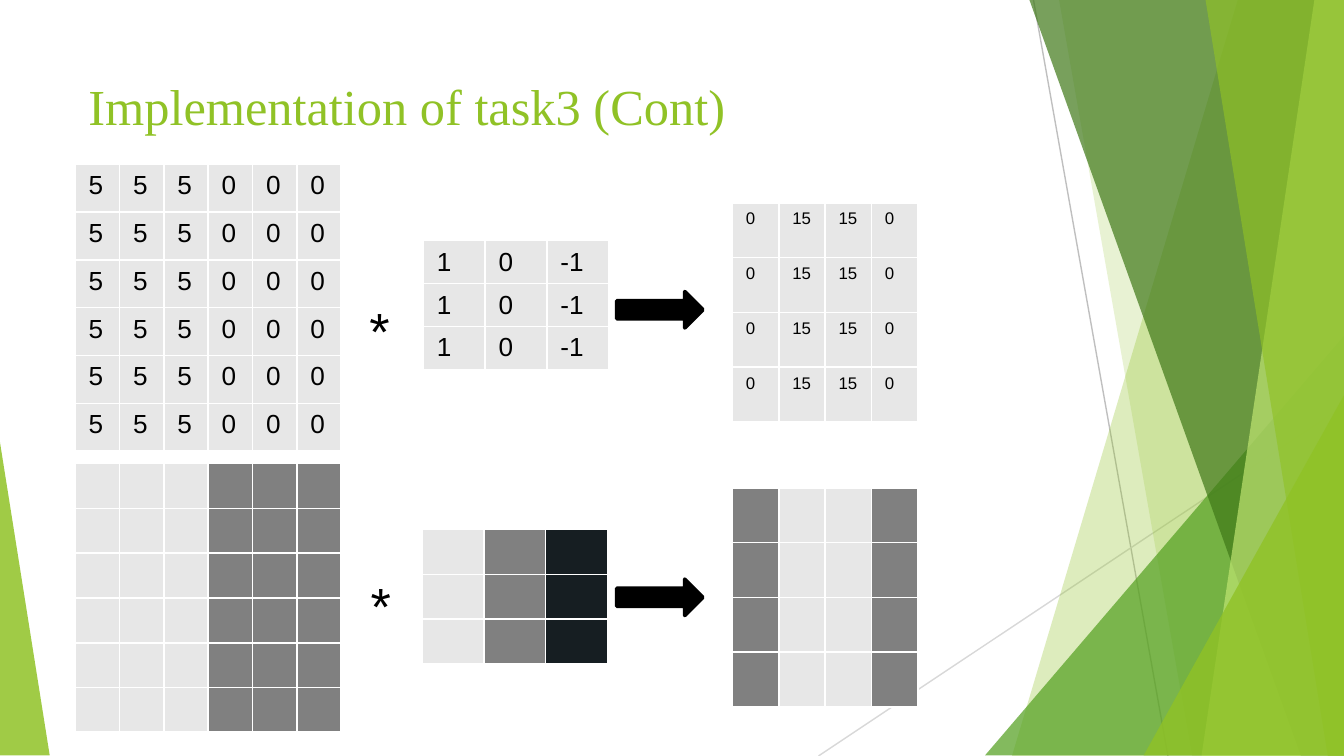
"""Build the slide that shows a vertical edge filter as numbers and as shades."""
from lxml import etree
from pptx import Presentation
from pptx.dml import color
from pptx.enum import shapes, text
from pptx.oxml import ns
from pptx.util import Inches, Pt

WIDTH = 10
HEIGHT = WIDTH * 9 / 16
GREEN, BLACK, WHITE = "90C226", "000000", "FFFFFF"
LIGHT, GREY, DARK = "E7E7E7", "808080", "161E22"

TITLE = ("Implementation of task3 (Cont)", (0.56, 0.5, 6.84, 0.57),
         {"size": Pt(27), "name": "Times New Roman"}, GREEN)
STAR_FORMAT = {"size": Pt(28), "name": "Arial"}
STARS = [(2.65, 2.17, 0.49, 0.57), (2.66, 4.22, 0.49, 0.57)]
ARROWS = [(4.59, 2.17, 0.64, 0.27), (4.59, 4.31, 0.64, 0.27)]

NUMBER_MATRICES = [
    ((0.56, 1.22, 1.98, 2.14), 6, ["5", "5", "5", "0", "0", "0"], 14),
    ((3.15, 1.79, 1.38, 0.96), 3, ["1", "0", "-1"], 14),
    ((5.45, 1.51, 1.38, 1.63), 4, ["0", "15", "15", "0"], 9),
]
SHADE_MATRICES = [
    ((0.56, 3.45, 1.98, 2), 6, [LIGHT] * 3 + [GREY] * 3),
    ((3.14, 3.94, 1.38, 1), 3, [LIGHT, GREY, DARK]),
    ((5.45, 3.63, 1.38, 1.63), 4, [GREY, LIGHT, LIGHT, GREY]),
]

RAYS = [((7.69, 0), (8.69, HEIGHT), "BFBFBF"), ((10, 3.02), (6.09, HEIGHT), "D8D8D8")]
FACETS = [
    ("band", (9.21, 7.53), GREEN, 30),
    ("band", (7.88, 8.87), GREEN, 20),
    ("triangle", (7.33, 2.5, 2.67, 3.12, 1), "54A021", 72),
    ("band", (7.66, 9.68), "3F7818", 70),
    ("band", (9.78, 8.94), "BFE471", 70),
    ("band", (8.97, 9.88), GREEN, 65),
    ("triangle", (8.51, 2.94, 1.49, 2.68, 1), GREEN, 80),
    ("triangle", (0, 3.29, 0.37, 2.33, 0), GREEN, 85),
]


def rgb(value):
    """Return the colour of a hex string."""
    return color.RGBColor.from_string(value)


def inches(values):
    """Convert numbers to lengths."""
    return [Inches(value) for value in values]


def apply_format(target, values):
    """Set each attribute of a format dict."""
    for name, value in values.items():
        setattr(target, name, value)


def paint(shape, fill):
    """Give a shape or cell a solid fill."""
    shape.fill.solid()
    shape.fill.fore_color.rgb = rgb(fill)


def write(frame, words, values, ink):
    """Put one formatted run in a text frame."""
    span = frame.paragraphs[0].add_run()
    span.text = words
    apply_format(span.font, values)
    span.font.color.rgb = rgb(ink)


def add_ray(page, start, end, stroke):
    """Draw a thin line without a shadow."""
    ray = page.shapes.add_connector(shapes.MSO_CONNECTOR.STRAIGHT, *inches(start + end))
    ray.line.color.rgb = rgb(stroke)
    ray.line.width = Pt(0.75)
    etree.SubElement(ray._element.spPr, ns.qn("a:effectLst"))


def add_facet(page, kind, place, fill, opacity):
    """Draw a translucent band along the right edge, or a corner triangle."""
    if kind == "band":
        top, bottom = place
        builder = page.shapes.build_freeform(Inches(top), 0)
        corners = [(WIDTH, 0), (WIDTH, HEIGHT), (bottom, HEIGHT)]
        builder.add_line_segments([inches(corner) for corner in corners])
        facet = builder.convert_to_shape()
    else:
        *frame, apex = place
        facet = page.shapes.add_shape(
            shapes.MSO_SHAPE.ISOSCELES_TRIANGLE, *inches(frame))
        facet.adjustments[0] = apex
    facet.shadow.inherit = False
    paint(facet, fill)
    facet.line.fill.background()
    tone = facet._element.spPr.find(".//" + ns.qn("a:srgbClr"))
    etree.SubElement(tone, ns.qn("a:alpha"), val=str(opacity * 1000))


def add_text(page, words, frame, values, ink, anchor):
    """Add a one-line text box."""
    box = page.shapes.add_textbox(*inches(frame)).text_frame
    apply_format(box, {"word_wrap": True, "vertical_anchor": anchor})
    write(box, words, values, ink)


def add_borders(cell):
    """Give a cell white lines on its four sides."""
    properties = cell._tc.get_or_add_tcPr()
    for side in ("lnL", "lnR", "lnT", "lnB"):
        border = etree.SubElement(properties, ns.qn("a:" + side), w=str(Pt(1)))
        solid = etree.SubElement(border, ns.qn("a:solidFill"))
        etree.SubElement(solid, ns.qn("a:srgbClr"), val=WHITE)


def add_matrix(page, frame, count, fills, words=None, size=None):
    """Add a table that repeats one row of fills and optional words."""
    _, _, width, height = frame
    grid = page.shapes.add_table(count, len(fills), *inches(frame)).table
    apply_format(grid, {"first_row": False, "horz_banding": False})
    for column in grid.columns:
        column.width = Inches(width / len(fills))
    for row in grid.rows:
        row.height = Inches(height / count)
        for index, cell in enumerate(row.cells):
            add_borders(cell)
            paint(cell, fills[index])
            if words:
                cell.margin_bottom = Inches(0.03)
                write(cell.text_frame, words[index],
                      {"size": Pt(size), "name": "Arial"}, BLACK)
            else:
                apply_format(cell, {"margin_top": 0, "margin_bottom": 0})


def add_arrow(page, frame):
    """Add a black block arrow."""
    arrow = page.shapes.add_shape(shapes.MSO_SHAPE.RIGHT_ARROW, *inches(frame))
    arrow.shadow.inherit = False
    paint(arrow, BLACK)
    arrow.line.color.rgb = rgb(BLACK)
    arrow.line.width = Pt(2)


def main():
    """Assemble and save the deck."""
    deck = Presentation()
    apply_format(deck, {"slide_width": Inches(WIDTH), "slide_height": Inches(HEIGHT)})
    page = deck.slides.add_slide(deck.slide_layouts[6])
    for ray in RAYS:
        add_ray(page, *ray)
    for facet in FACETS:
        add_facet(page, *facet)
    add_text(page, *TITLE, text.MSO_ANCHOR.MIDDLE)
    for frame, count, words, size in NUMBER_MATRICES:
        add_matrix(page, frame, count, [LIGHT] * len(words), words, size)
    for matrix in SHADE_MATRICES:
        add_matrix(page, *matrix)
    for frame in STARS:
        add_text(page, "*", frame, STAR_FORMAT, BLACK, text.MSO_ANCHOR.TOP)
    for frame in ARROWS:
        add_arrow(page, frame)
    deck.save("out.pptx")


if __name__ == "__main__":
    main()
